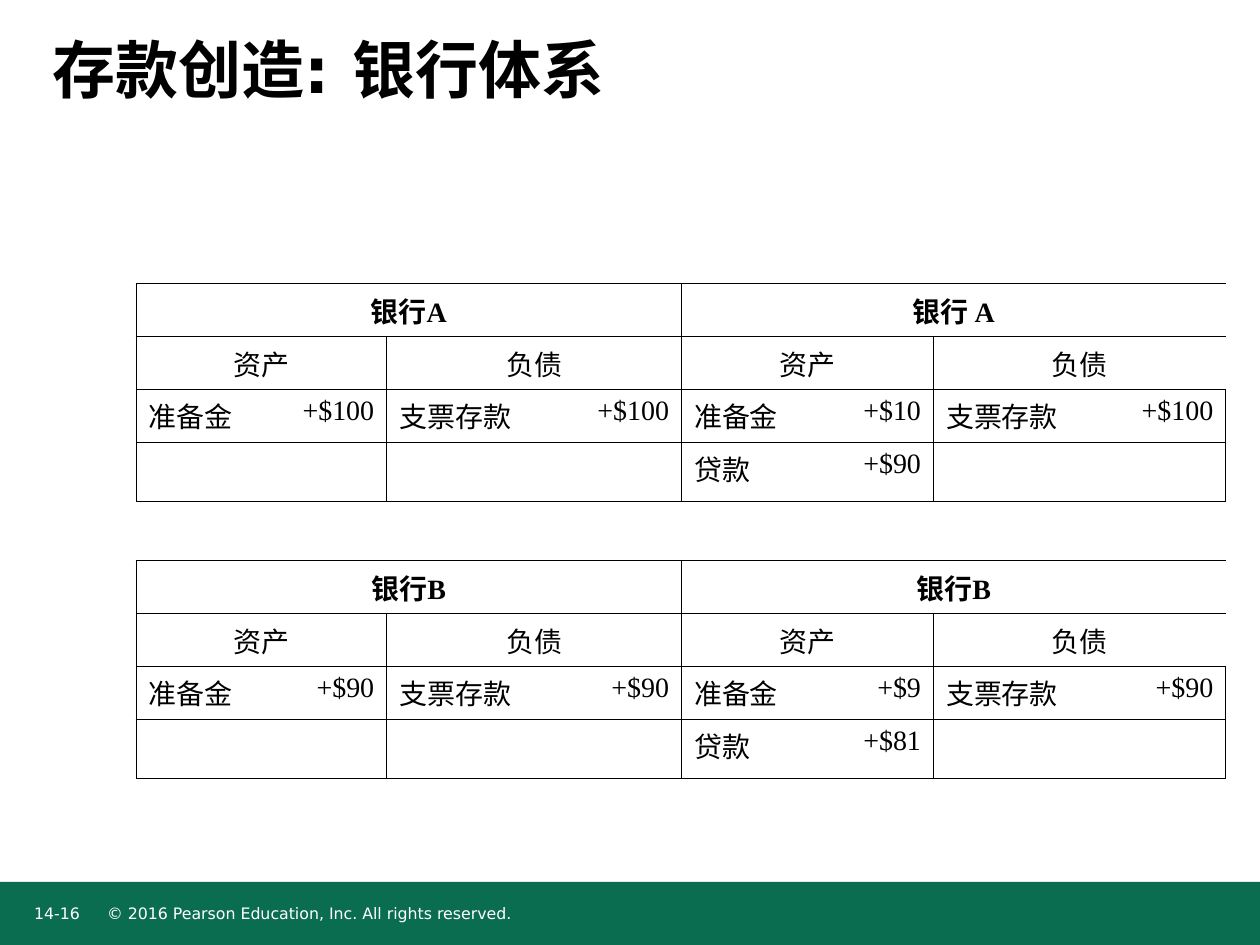
from lxml.etree import SubElement
from pptx import Presentation
from pptx.dml.color import RGBColor
from pptx.enum.shapes import MSO_SHAPE
from pptx.enum.text import MSO_ANCHOR, PP_ALIGN
from pptx.oxml.ns import qn
from pptx.util import Inches, Pt

COLORS = {"ink": "000000", "footer": "0B6D4F", "footer_text": "FFFFFF"}
SANS, SERIF = "DejaVu Sans", "Times New Roman"
SLIDE_W, SLIDE_H = 10, 7.5
FOOTER_H = 0.5
NO_STYLE = "{2D5ABB26-0587-4C30-8999-92F81FD0307C}"
THIN, THICK = 0.45, 0.75

TITLE = "存款创造: 银行体系"
PAGE = "14-16"
COPYRIGHT = "© 2016 Pearson Education, Inc. All rights reserved."

SIDES = ["资产", "负债"] * 2
BANKS = [
    {
        "names": ["银行A", "银行 A"],
        "entries": [
            ["准备金", "+$100", "支票存款", "+$100", "准备金", "+$10", "支票存款", "+$100"],
            ["", "", "", "", "贷款", "+$90", "", ""],
        ],
    },
    {
        "names": ["银行B", "银行B"],
        "entries": [
            ["准备金", "+$90", "支票存款", "+$90", "准备金", "+$9", "支票存款", "+$90"],
            ["", "", "", "", "贷款", "+$81", "", ""],
        ],
    },
]
TABLE_LEFT, TABLE_TOP = 1.08, 2.25
COL_WIDTHS = [1.16, 0.83, 1.51, 0.83, 1.17, 0.83, 1.42, 0.9]
BANK_ROWS = [0.42, 0.42, 0.42, 0.47]
GAP_ROW = 0.47
ROW_HEIGHTS = BANK_ROWS + [GAP_ROW] + BANK_ROWS


def style(paragraph, face, size, color, bold=False):
    font = paragraph.font
    font.name, font.size, font.bold = face, Pt(size), bold
    font.color.rgb = RGBColor.from_string(COLORS[color])


def add_label(slide, text, left, top, width, height, size, color, bold=False,
              anchor=MSO_ANCHOR.TOP):
    box = slide.shapes.add_textbox(*map(Inches, (left, top, width, height)))
    frame = box.text_frame
    frame.word_wrap = True
    frame.vertical_anchor = anchor
    frame.margin_left = frame.margin_top = frame.margin_right = frame.margin_bottom = 0
    frame.text = text
    style(frame.paragraphs[0], SANS, size, color, bold)


def set_borders(cell, widths):
    """Draw the cell's left, right, top and bottom lines; width 0 means none."""
    props = cell._tc.get_or_add_tcPr()
    for position, (side, width) in enumerate(zip("LRTB", widths)):
        line = SubElement(props, qn(f"a:ln{side}"), w=str(Pt(width)))
        if width:
            fill = SubElement(line, qn("a:solidFill"))
            SubElement(fill, qn("a:srgbClr"), val=COLORS["ink"])
        else:
            SubElement(line, qn("a:noFill"))
        props.remove(line)
        props.insert(position, line)


def column_line(index, step):
    if index % step:
        return 0
    return THICK if index == 4 else THIN


def row_line(index):
    return THICK if index == 2 else THIN


def write_cell(cell, text, align, bold=False):
    if text:
        cell.text = text
        paragraph = cell.text_frame.paragraphs[0]
        paragraph.alignment = align
        style(paragraph, SERIF, 16, "ink", bold)


def fill_bank(table, first_row, bank):
    rows = [(bank["names"], 4), (SIDES, 2)] + [(entry, 1) for entry in bank["entries"]]
    for r, (texts, span) in enumerate(rows):
        row = first_row + r
        for i, text in enumerate(texts):
            cell = table.cell(row, i * span)
            if span > 1:
                cell.merge(table.cell(row, (i + 1) * span - 1))
                align = PP_ALIGN.CENTER
            else:
                align = PP_ALIGN.RIGHT if i % 2 else PP_ALIGN.LEFT
            write_cell(cell, text, align, bold=r == 0)
        step = max(span, 2)
        for c in range(len(COL_WIDTHS)):
            set_borders(table.cell(row, c), (column_line(c, step), column_line(c + 1, step),
                                             row_line(r), row_line(r + 1)))


def add_accounts(slide):
    frame = slide.shapes.add_table(
        len(ROW_HEIGHTS), len(COL_WIDTHS), Inches(TABLE_LEFT), Inches(TABLE_TOP),
        Inches(sum(COL_WIDTHS)), Inches(sum(ROW_HEIGHTS)))
    table = frame.table
    table.first_row = table.horz_banding = False
    table._tbl.tblPr.find(qn("a:tableStyleId")).text = NO_STYLE
    for column, width in zip(table.columns, COL_WIDTHS):
        column.width = Inches(width)
    for row, height in zip(table.rows, ROW_HEIGHTS):
        row.height = Inches(height)
    for cell in table.iter_cells():
        cell.fill.background()
    for i, bank in enumerate(BANKS):
        fill_bank(table, i * (len(BANK_ROWS) + 1), bank)


def add_footer(slide):
    top = SLIDE_H - FOOTER_H
    band = slide.shapes.add_shape(MSO_SHAPE.RECTANGLE, 0, Inches(top),
                                  Inches(SLIDE_W), Inches(FOOTER_H))
    band.shadow.inherit = False
    band.fill.solid()
    band.fill.fore_color.rgb = RGBColor.from_string(COLORS["footer"])
    band.line.fill.background()
    for text, left, width in [(COPYRIGHT, 0.85, 5.9), (PAGE, 0.27, 0.39)]:
        add_label(slide, text, left, top + 0.17, width, 0.2, 9, "footer_text")


def main():
    deck = Presentation()
    deck.slide_width, deck.slide_height = Inches(SLIDE_W), Inches(SLIDE_H)
    slide = deck.slides.add_slide(deck.slide_layouts[6])
    add_footer(slide)
    add_label(slide, TITLE, 0.42, 0, 9.25, 1.09, 36, "ink", True, MSO_ANCHOR.MIDDLE)
    add_accounts(slide)
    deck.save("out.pptx")


if __name__ == "__main__":
    main()
